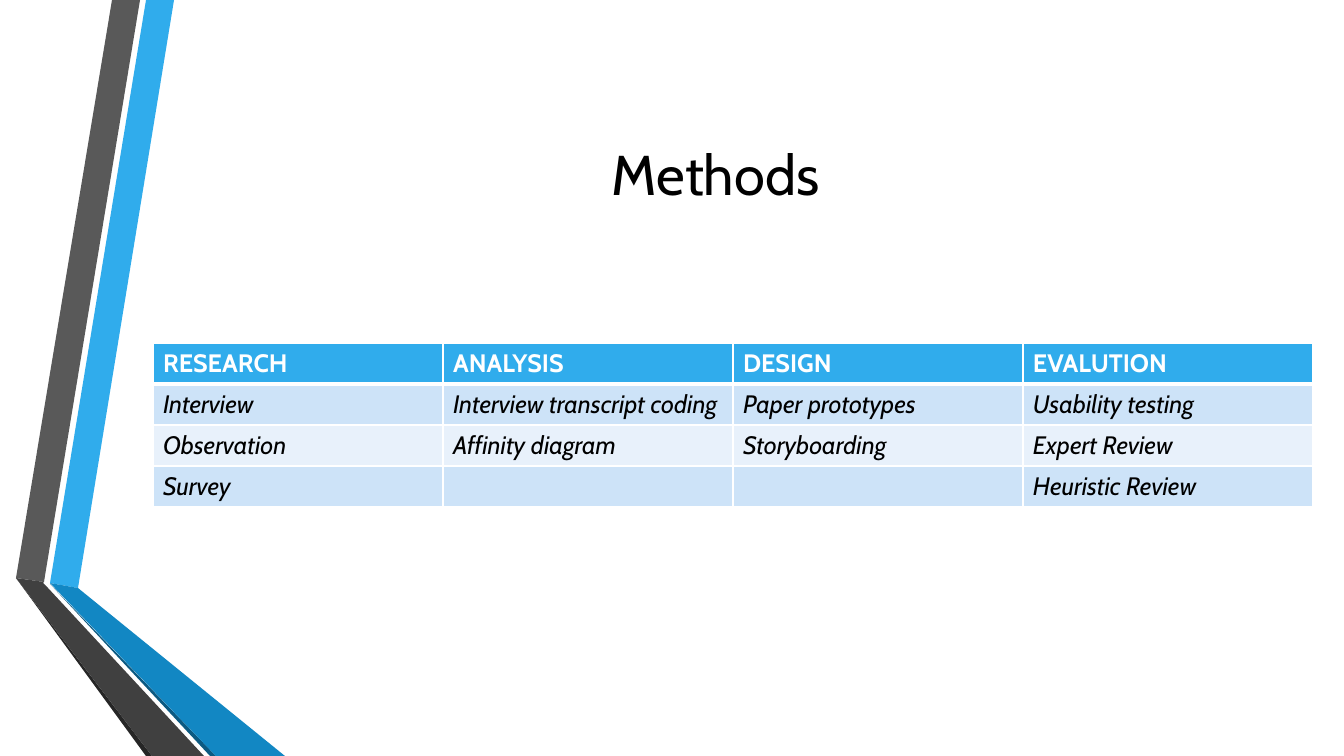
from dataclasses import dataclass

import lxml.etree
import pptx
import pptx.dml.color
import pptx.enum.text
import pptx.oxml.ns
import pptx.presentation
import pptx.shapes.shapetree
import pptx.slide
import pptx.table
import pptx.text.text
import pptx.util

RGBColor = pptx.dml.color.RGBColor
BLACK = RGBColor(0x00, 0x00, 0x00)
WHITE = RGBColor(0xFF, 0xFF, 0xFF)
BLUE = RGBColor(0x30, 0xAC, 0xEC)
MIDDLE_BLUE = RGBColor(0x12, 0x87, 0xC3)
DARK_BLUE = RGBColor(0x0C, 0x5A, 0x82)
GRAY = RGBColor(0x59, 0x59, 0x59)
DARK_GRAY = RGBColor(0x40, 0x40, 0x40)
NEAR_BLACK = RGBColor(0x26, 0x26, 0x26)
BAND_DARK = RGBColor(0xCD, 0xE3, 0xF8)
BAND_LIGHT = RGBColor(0xE8, 0xF1, 0xFB)

FONT = "Cabin"
EMU_PER_PX = 914400 / 100.8
SLIDE_WIDTH, SLIDE_HEIGHT = 1344, 756
COLUMN_WIDTH, ROW_HEIGHT = 290, 41


@dataclass(frozen=True)
class Ribbon:
    color: RGBColor
    points: tuple[tuple[int, int], ...]


RIBBONS = (
    Ribbon(BLUE, ((50, 583), (78, 588), (174, 0), (146, 0))),
    Ribbon(GRAY, ((140, 0), (112, 0), (16, 578), (44, 582))),
    Ribbon(NEAR_BLACK, ((16, 578), (146, SLIDE_HEIGHT), (152, SLIDE_HEIGHT))),
    Ribbon(DARK_BLUE, ((50, 584), (210, SLIDE_HEIGHT), (216, SLIDE_HEIGHT))),
    Ribbon(MIDDLE_BLUE, ((50, 583), (216, SLIDE_HEIGHT), (285, SLIDE_HEIGHT), (78, 588))),
    Ribbon(DARK_GRAY, ((204, SLIDE_HEIGHT), (48, 588), (43, 583), (44, 582),
                       (16, 578), (152, SLIDE_HEIGHT))),
)

METHODS = (
    ("RESEARCH", "ANALYSIS", "DESIGN", "EVALUTION"),
    ("Interview", "Interview transcript coding", "Paper prototypes", "Usability testing"),
    ("Observation", "Affinity diagram", "Storyboarding", "Expert Review"),
    ("Survey", "", "", "Heuristic Review"),
)


def px(length: int) -> pptx.util.Emu:
    return pptx.util.Emu(round(length * EMU_PER_PX))


def write_text(frame: pptx.text.text.TextFrame, text: str, *, size: int = 18,
               color: RGBColor = BLACK, bold: bool = False, italic: bool = False,
               align: pptx.enum.text.PP_ALIGN = pptx.enum.text.PP_ALIGN.LEFT) -> None:
    paragraph = frame.paragraphs[0]
    paragraph.text = text
    paragraph.alignment = align
    font = paragraph.font
    font.name = FONT
    font.size = pptx.util.Pt(size)
    font.bold = bold
    font.italic = italic
    font.color.rgb = color


def draw_ribbon(shapes: pptx.shapes.shapetree.SlideShapes, ribbon: Ribbon) -> None:
    start, *rest = ribbon.points
    builder = shapes.build_freeform(*start, scale=EMU_PER_PX)
    builder.add_line_segments(rest, close=True)
    shape = builder.convert_to_shape()
    shape.shadow.inherit = False
    shape.fill.solid()
    shape.fill.fore_color.rgb = ribbon.color
    shape.line.fill.background()


def add_borders(cell: pptx.table._Cell, top: int, bottom: int) -> None:
    """Draw white borders, with the top and bottom widths in points."""
    qn = pptx.oxml.ns.qn
    properties = cell._tc.get_or_add_tcPr()
    for tag, width in (("a:lnL", 1), ("a:lnR", 1), ("a:lnT", top), ("a:lnB", bottom)):
        line = lxml.etree.SubElement(properties, qn(tag), w=str(pptx.util.Pt(width)))
        fill = lxml.etree.SubElement(line, qn("a:solidFill"))
        lxml.etree.SubElement(fill, qn("a:srgbClr"), val=str(WHITE))


def add_methods_table(slide: pptx.slide.Slide) -> None:
    row_count, column_count = len(METHODS), len(METHODS[0])
    table = slide.shapes.add_table(
        row_count, column_count, px(153), px(343),
        px(COLUMN_WIDTH * column_count), px(ROW_HEIGHT * row_count)).table
    for column in table.columns:
        column.width = px(COLUMN_WIDTH)
    for row_index, texts in enumerate(METHODS):
        table.rows[row_index].height = px(ROW_HEIGHT)
        header = row_index == 0
        band = BAND_DARK if row_index % 2 else BAND_LIGHT
        for column_index, text in enumerate(texts):
            cell = table.cell(row_index, column_index)
            add_borders(cell, top=3 if row_index == 1 else 1, bottom=3 if header else 1)
            cell.fill.solid()
            cell.fill.fore_color.rgb = BLUE if header else band
            write_text(cell.text_frame, text, color=WHITE if header else BLACK,
                       bold=header, italic=not header)


def add_title(slide: pptx.slide.Slide) -> None:
    title = slide.shapes.title
    title.left, title.top, title.width, title.height = px(163), px(76), px(1105), px(194)
    title.text_frame.vertical_anchor = pptx.enum.text.MSO_ANCHOR.MIDDLE
    write_text(title.text_frame, "Methods", size=40, align=pptx.enum.text.PP_ALIGN.CENTER)


def main() -> None:
    presentation = pptx.Presentation()
    presentation.slide_width = px(SLIDE_WIDTH)
    presentation.slide_height = px(SLIDE_HEIGHT)
    slide = presentation.slides.add_slide(presentation.slide_layouts.get_by_name("Title Only"))
    for ribbon in RIBBONS:
        draw_ribbon(slide.shapes, ribbon)
    add_title(slide)
    add_methods_table(slide)
    presentation.save("out.pptx")


if __name__ == "__main__":
    main()
